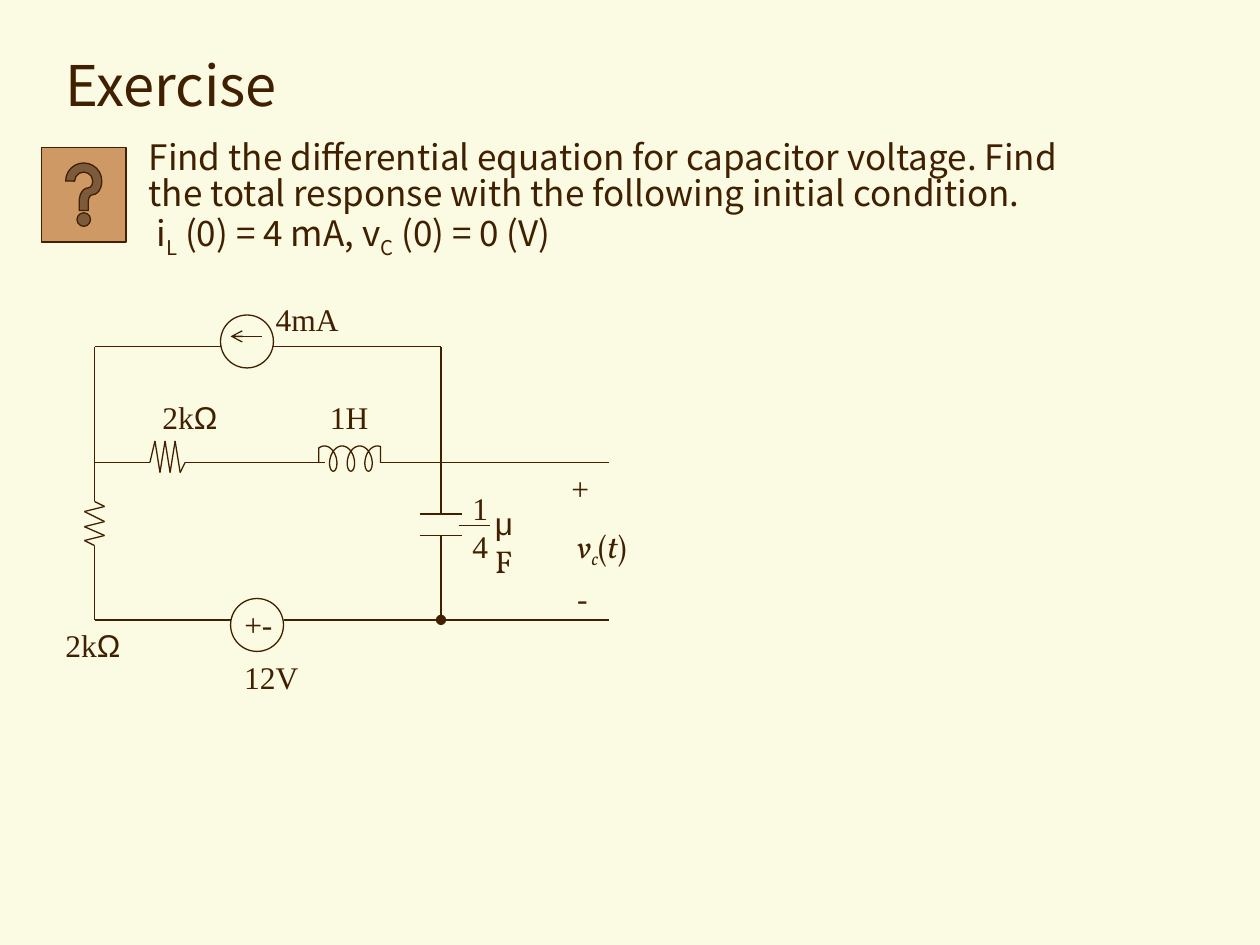
from math import cos, pi, sin
from itertools import pairwise
from lxml.etree import SubElement
from pptx import Presentation
from pptx.dml.color import RGBColor
from pptx.enum.shapes import MSO_CONNECTOR, MSO_SHAPE
from pptx.enum.text import MSO_ANCHOR, MSO_AUTO_SIZE, PP_ALIGN
from pptx.oxml.ns import qn
from pptx.util import Inches, Pt

INK = RGBColor(0x40, 0x20, 0x00)
PAPER = RGBColor(0xFB, 0xFA, 0xE2)
TAN = RGBColor(0xCE, 0x99, 0x64)
SANS, SERIF, GREEK, MATH = "Noto Sans CJK KR", "Times New Roman", "Arial", "Vollkorn"
SUB = {"sub": True}


def write(frame, *paras, size=18, font=SERIF, italic=False, gap=0, pitch=None):
    """Fill a frame; a paragraph is a list of strings or (string, format) pairs."""
    frame.auto_size = MSO_AUTO_SIZE.NONE
    for i, runs in enumerate(paras):
        para = frame.paragraphs[0] if i == 0 else frame.add_paragraph()
        para.alignment = PP_ALIGN.LEFT
        para.space_before = Pt(gap if i else 0)
        if pitch:
            para.line_spacing = pitch
        for item in runs:
            words, look = (item, {}) if isinstance(item, str) else item
            run = para.add_run()
            run.text = words
            style = run.font
            style.size = Pt(size)
            style.name = look.get("font", font)
            style.italic = look.get("italic", italic)
            style.color.rgb = INK
            if look.get("sub"):
                run._r.get_or_add_rPr().set("baseline", "-25000")


def label(slide, x, y, w, h, *paras, wrap=False, **look):
    frame = slide.shapes.add_textbox(Inches(x), Inches(y), Inches(w), Inches(h)).text_frame
    frame.word_wrap = wrap
    write(frame, *paras, **look)


def wire(slide, *points, head=None, tail=None):
    """Join the points with straight lines; head and tail are end marks."""
    for start, end in pairwise(points):
        line = slide.shapes.add_connector(
            MSO_CONNECTOR.STRAIGHT, *map(Inches, start), *map(Inches, end))
        line.line.color.rgb = INK
        line.line.width = Pt(0.75)
        pen = line.line._get_or_add_ln()
        for tag, kind in (("a:headEnd", head), ("a:tailEnd", tail)):
            if kind:
                SubElement(pen, qn(tag), type=kind)
        SubElement(line._element.spPr, qn("a:effectLst"))


def style(shape, fill=None):
    shape.shadow.inherit = False
    shape.line.color.rgb = INK
    shape.line.width = Pt(0.75)
    if fill:
        shape.fill.solid()
        shape.fill.fore_color.rgb = fill
    else:
        shape.fill.background()


def ring(slide, x, y):
    size = Inches(0.42)
    style(slide.shapes.add_shape(MSO_SHAPE.OVAL, Inches(x), Inches(y), size, size))


def place(shape, x, y, w, h):
    shape.left, shape.top, shape.width, shape.height = map(Inches, (x, y, w, h))


def title(slide, x, y, w, h):
    shape = slide.shapes.title
    place(shape, x, y, w, h)
    shape.text_frame.vertical_anchor = MSO_ANCHOR.MIDDLE
    write(shape.text_frame, ["Exercise"], size=32, font=SANS)


def task(slide, x, y, w, h):
    """Question button with the wording of the exercise beside it."""
    button = slide.shapes.add_shape(
        MSO_SHAPE.ACTION_BUTTON_HELP, Inches(x), Inches(y + 0.09), Inches(0.67), Inches(0.75))
    style(button, TAN)
    body = slide.placeholders[1]
    place(body, x + 0.75, y, w - 0.75, h)
    write(body.text_frame,
          ["Find the differential equation for capacitor voltage. "
           "Find the total response with the following initial condition."],
          [" i", ("L", SUB), " (0) = 4 mA, v", ("C", SUB), " (0) = 0 (V)"],
          size=20, font=SANS, pitch=0.85)
    for para in body.text_frame.paragraphs:
        props = para._p.get_or_add_pPr()
        props.set("marL", "0")
        props.set("indent", "0")
        SubElement(props, qn("a:buNone"))


def coil(slide, x, y, w):
    """Looping curve, cut off at both ends of its width."""
    turns = [0.1 * k for k in range(-3, 224)]
    points = [(Inches(x + min(max(0.01 + 0.14 * t / (2 * pi) - 0.06 * cos(t), 0), w)),
               Inches(y - 0.03 - 0.1 * sin(t))) for t in turns]
    pen = slide.shapes.build_freeform(*points[0])
    pen.add_line_segments(points[1:], close=False)
    style(pen.convert_to_shape())


def source(slide, x, top):
    """Upper branch with the current source."""
    wire(slide, (x, top), (x + 1, top))
    wire(slide, (x + 1.42, top), (x + 2.75, top))
    ring(slide, x + 1, top - 0.25)
    wire(slide, (x + 1.08, top - 0.08), (x + 1.33, top - 0.08), head="arrow")
    label(slide, x + 1.34, top - 0.42, 0.7, 0.4, ["4mA"])


def series(slide, x, mid):
    """Middle branch with resistor and inductor."""
    ohms = ["2k", ("Ω", {"font": GREEK})]
    teeth = [(x + 0.48 + 0.04 * k, mid + (0.08 if k % 2 else -0.17)) for k in range(6)]
    wire(slide, (x, mid), (x + 0.44, mid), *teeth, (x + 0.72, mid), (x + 1.83, mid))
    coil(slide, x + 1.78, mid, 0.49)
    wire(slide, (x + 2.27, mid), (x + 4.08, mid))
    label(slide, x + 0.44, mid - 0.56, 0.64, 0.4, ohms)
    label(slide, x + 1.77, mid - 0.56, 0.5, 0.4, ["1H"])


def shunt(slide, x, top, low):
    """Left branch with its resistor."""
    drops = (1.27, 1.31, 1.39, 1.43, 1.5, 1.54)
    teeth = [(x + (-0.08 if k % 2 else 0.08), top + d) for k, d in enumerate(drops)]
    wire(slide, (x, top), (x, top + 1.23), *teeth, (x, top + 1.58), (x, low))
    label(slide, x - 0.33, low, 0.64, 0.4, ["2k", ("Ω", {"font": GREEK})])


def plates(slide, x, top, low):
    """Right branch with the capacitor."""
    upper, under = top + 1.33, top + 1.5
    wire(slide, (x, top), (x, upper))
    for y in (upper, under):
        wire(slide, (x - 0.17, y), (x + 0.17, y))
    wire(slide, (x, under), (x, low), tail="oval")
    label(slide, x + 0.15, top + 1.08, 0.32, 0.7, ["1"], ["4"])
    wire(slide, (x + 0.14, top + 1.42), (x + 0.39, top + 1.42))
    label(slide, x + 0.33, top + 1.2, 0.48, 0.7,
          [("μ", {"font": GREEK}), ("F", {"font": MATH})], wrap=True)


def supply(slide, x, low):
    """Lower branch with the voltage source."""
    wire(slide, (x, low), (x + 1.08, low))
    wire(slide, (x + 1.5, low), (x + 4.08, low))
    ring(slide, x + 1.08, low - 0.17)
    label(slide, x + 1.09, low - 0.17, 0.42, 0.4, ["+-"])
    label(slide, x + 1.09, low + 0.25, 0.63, 0.4, ["12V"])


def output(slide, x, y):
    """Polarity and name of the output voltage."""
    label(slide, x, y, 0.43, 1.3, ["+"], [" -"], italic=True, gap=41.4)
    upright = {"italic": False}
    label(slide, x + 0.06, y + 0.46, 0.63, 0.44,
          ["v", ("c", SUB), ("(", upright), "t", (")", upright)], font=MATH, italic=True)


def circuit(slide, x, y, w, h):
    mid, low = y + 0.92, y + h
    source(slide, x, y)
    series(slide, x, mid)
    shunt(slide, x, y, low)
    plates(slide, x + 2.75, y, low)
    supply(slide, x, low)
    output(slide, x + w - 0.41, mid)


def main():
    deck = Presentation()
    deck.slide_width, deck.slide_height = Inches(10), Inches(7.5)
    slide = deck.slides.add_slide(deck.slide_layouts[1])
    slide.background.fill.solid()
    slide.background.fill.fore_color.rgb = PAPER
    title(slide, 0.42, 0.25, 9.17, 0.83)
    task(slide, 0.33, 1.08, 8.53, 1.15)
    circuit(slide, 0.75, 2.75, 4.08, 2.17)
    deck.save("out.pptx")


if __name__ == "__main__":
    main()
